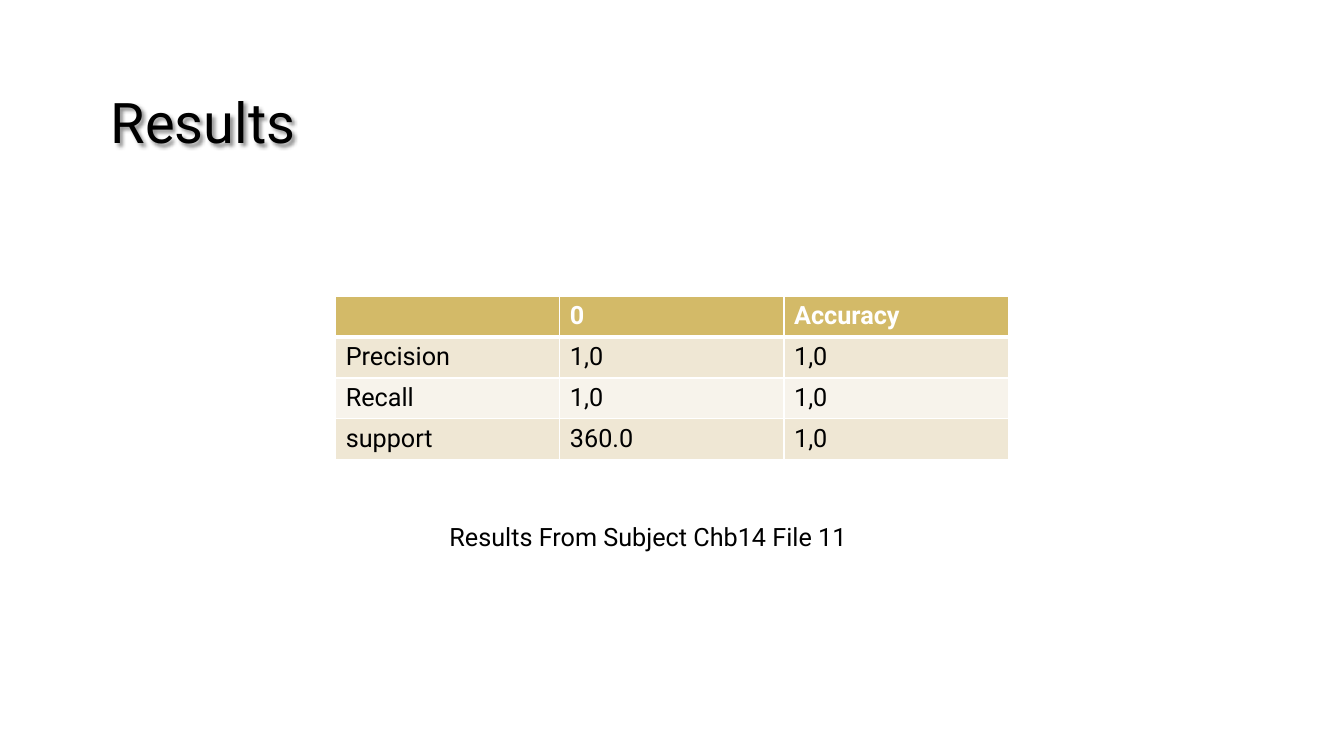
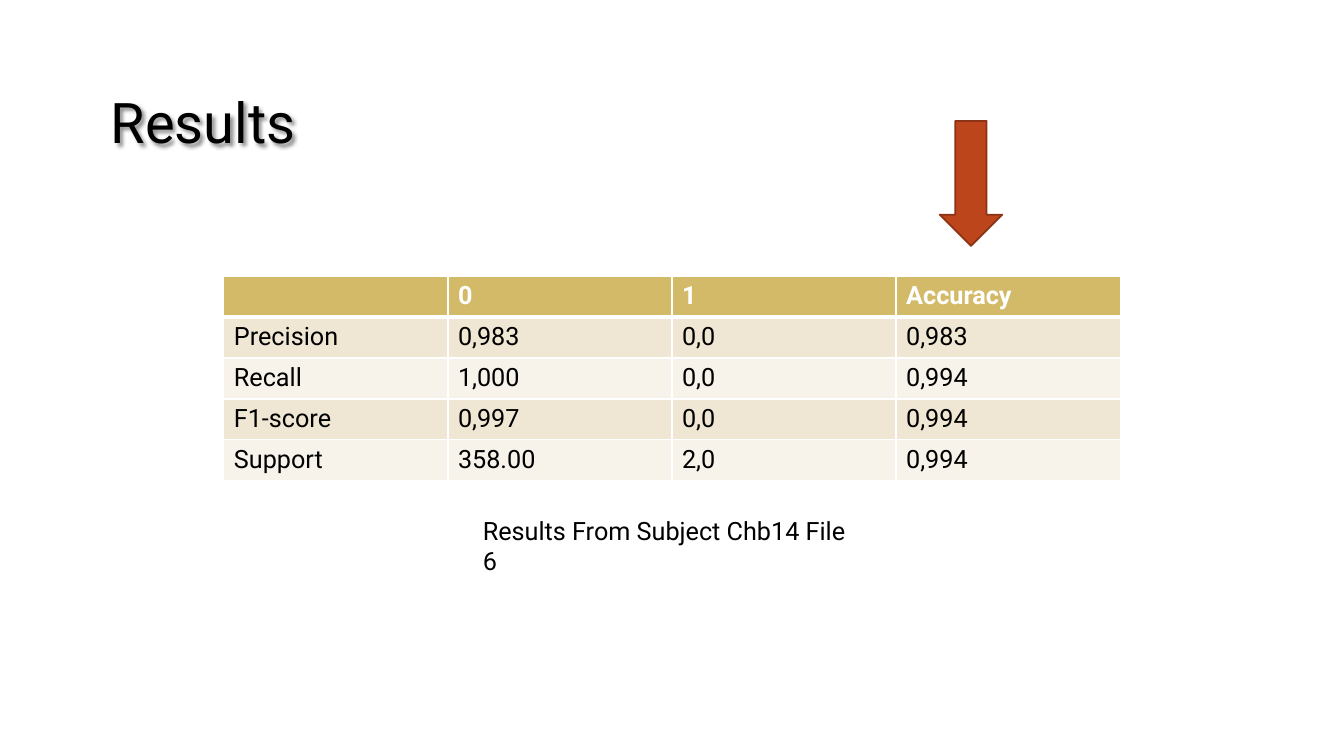
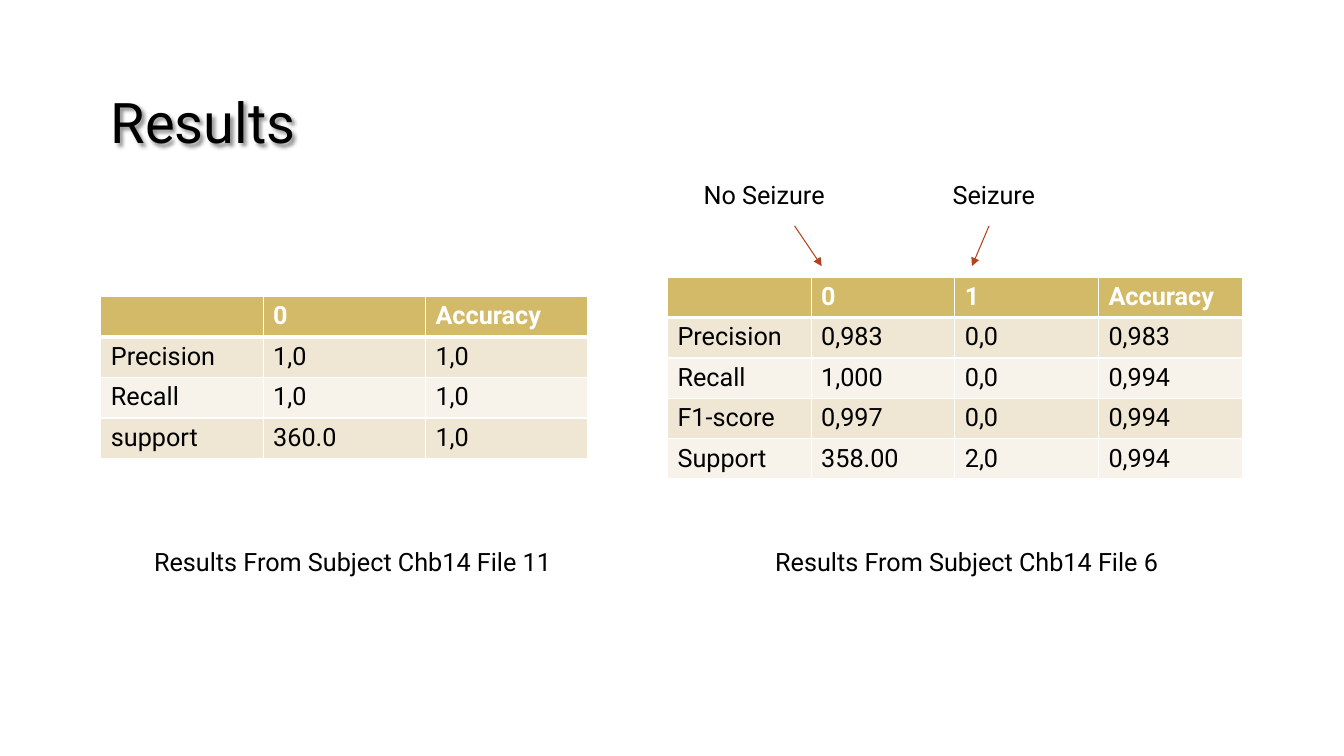
from lxml import etree
from pptx import Presentation
from pptx.dml.color import RGBColor
from pptx.enum import shapes, text
from pptx.oxml import ns, parse_xml
from pptx.util import Inches, Pt

FILE_11 = [
    ["", "0", "Accuracy"],
    ["Precision", "1,0", "1,0"],
    ["Recall", "1,0", "1,0"],
    ["support", "360.0", "1,0"],
]
FILE_6 = [
    ["", "0", "1", "Accuracy"],
    ["Precision", "0,983", "0,0", "0,983"],
    ["Recall", "1,000", "0,0", "0,994"],
    ["F1-score", "0,997", "0,0", "0,994"],
    ["Support", "358.00", "2,0", "0,994"],
]
CAPTION = "Results From Subject Chb14 File {}"


def rgb(value):
    return RGBColor.from_string(value)


def xml(body):
    """Parse a fragment whose root takes the drawing namespace."""
    tag, rest = body.split(" ", 1)
    return parse_xml(f"{tag} {ns.nsdecls('a')} {rest}")


class Deck:
    FONT = "Roboto"
    BLACK, WHITE = "000000", "FFFFFF"
    HEADER, BANDS = "D3BA68", ("F7F3EB", "EFE7D4")
    RUST, RUST_DARK, LINE = "BC451B", "8B3314", "B4421A"

    def __init__(self):
        self.prs = Presentation()
        self.prs.slide_width, self.prs.slide_height = Inches(13.33), Inches(7.5)
        self.slide = None

    def new_slide(self, title):
        self.slide = self.prs.slides.add_slide(self.prs.slide_layouts[6])
        self.title(title)

    def set_text(self, tf, content, size=18, color=BLACK, bold=False):
        p = tf.paragraphs[0]
        p.text = content
        formats = {"name": self.FONT, "size": Pt(size), "bold": bold}
        for font in (p.font, *(r.font for r in p.runs)):
            for name, value in formats.items():
                setattr(font, name, value)
            font.color.rgb = rgb(color)

    def label(self, content, left, top, width, height=0.4, size=18):
        sp = self.slide.shapes.add_textbox(*map(Inches, (left, top, width, height)))
        sp.text_frame.word_wrap = True
        self.set_text(sp.text_frame, content, size)
        return sp

    def title(self, content):
        sp = self.label(content, 1, 0.67, 11.32, 1.06, size=40)
        sp.text_frame.vertical_anchor = text.MSO_ANCHOR.MIDDLE
        sp._element.spPr.append(xml(
            '<a:effectLst ><a:outerShdw blurRad="38100" dist="25400" dir="2700000">'
            '<a:srgbClr val="000000"><a:alpha val="43000"/></a:srgbClr>'
            '</a:outerShdw></a:effectLst>'))

    def borders(self, cell, top, bottom):
        tcPr = cell._tc.get_or_add_tcPr()
        for i, (side, width) in enumerate(zip("LRTB", (1, 1, top, bottom))):
            tcPr.insert(i, xml(
                f'<a:ln{side} w="{Pt(width)}"><a:solidFill><a:srgbClr val="{self.WHITE}"/>'
                f'</a:solidFill></a:ln{side}>'))

    def table(self, rows, left, top, width, height):
        tbl = self.slide.shapes.add_table(
            len(rows), len(rows[0]), *map(Inches, (left, top, width, height))).table
        for i, row in enumerate(rows):
            header = i == 0
            for j, content in enumerate(row):
                cell = tbl.cell(i, j)
                self.set_text(cell.text_frame, content, bold=header,
                              color=self.WHITE if header else self.BLACK)
                cell.fill.solid()
                cell.fill.fore_color.rgb = rgb(self.HEADER if header else self.BANDS[i % 2])
                self.borders(cell, top=3 if i == 1 else 1, bottom=3 if header else 1)

    def down_arrow(self, left, top, width, height):
        sp = self.slide.shapes.add_shape(
            shapes.MSO_SHAPE.DOWN_ARROW, *map(Inches, (left, top, width, height)))
        sp.shadow.inherit = False
        sp.fill.solid()
        sp.fill.fore_color.rgb = rgb(self.RUST)
        sp.line.color.rgb = rgb(self.RUST_DARK)
        sp.line.width = Pt(1.25)

    def pointer(self, *ends):
        """Thin line with a head at its second end."""
        cxn = self.slide.shapes.add_connector(
            shapes.MSO_CONNECTOR.STRAIGHT, *map(Inches, ends))
        cxn.line.color.rgb = rgb(self.LINE)
        cxn.line.width = Pt(0.75)
        spPr = cxn._element.spPr
        etree.SubElement(spPr.get_or_add_ln(), ns.qn("a:tailEnd"), type="triangle")
        etree.SubElement(spPr, ns.qn("a:effectLst"))


def main():
    deck = Deck()

    deck.new_slide("Results")
    deck.table(FILE_11, 3.33, 2.94, 6.67, 1.62)
    deck.label(CAPTION.format(11), 4.36, 5.12, 4.6)

    deck.new_slide("Results")
    deck.table(FILE_6, 2.22, 2.74, 8.89, 2.03)
    deck.down_arrow(9.32, 1.2, 0.62, 1.24)
    deck.label(CAPTION.format(6), 4.69, 5.06, 3.93)

    deck.new_slide("Results")
    deck.table(FILE_6, 6.62, 2.75, 5.7, 1.97)
    deck.table(FILE_11, 1, 2.94, 4.83, 1.61)
    for number, left in ((11, 1.43), (6, 7.59)):
        deck.label(CAPTION.format(number), left, 5.37, 4.6)
    for name, left, start, end in (("No Seizure", 6.88, 7.88, 8.15),
                                   ("Seizure", 9.35, 9.81, 9.64)):
        deck.label(name, left, 1.73, 1.93)
        deck.pointer(start, 2.24, end, 2.64)

    deck.prs.save("out.pptx")


if __name__ == "__main__":
    main()
